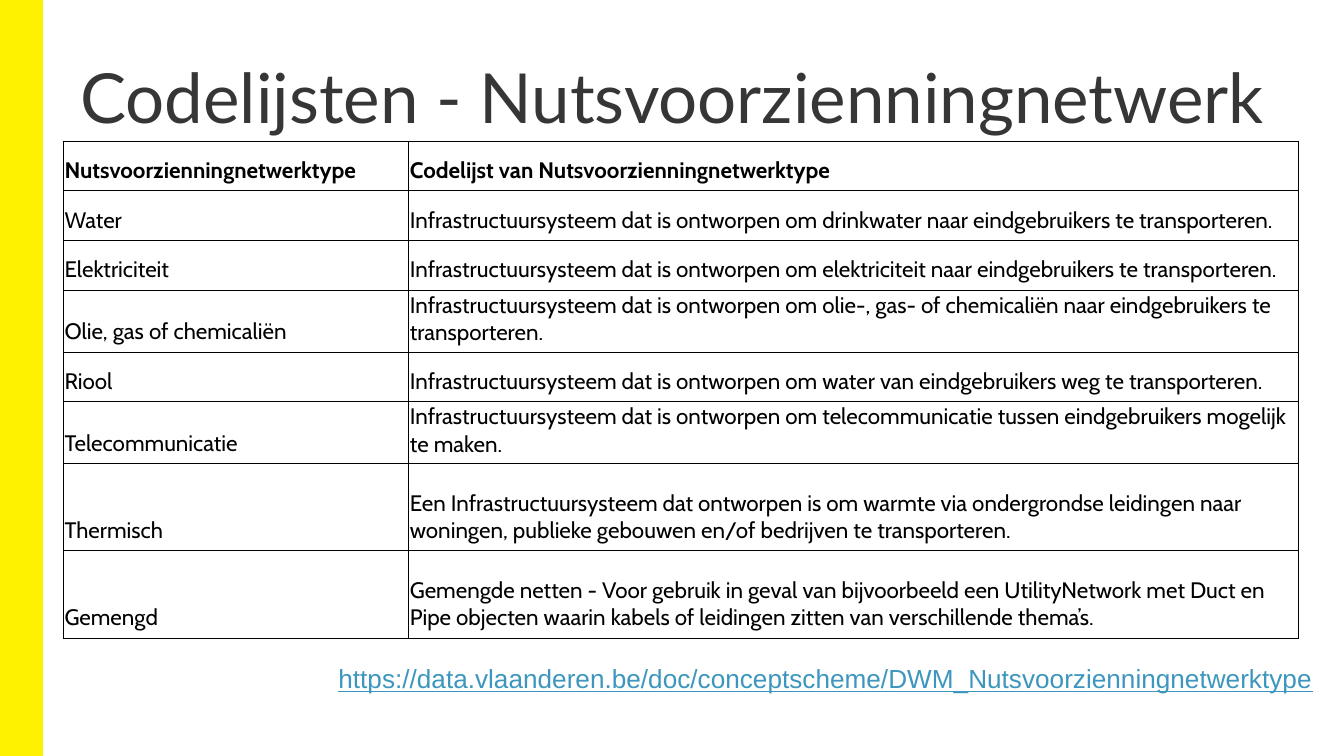
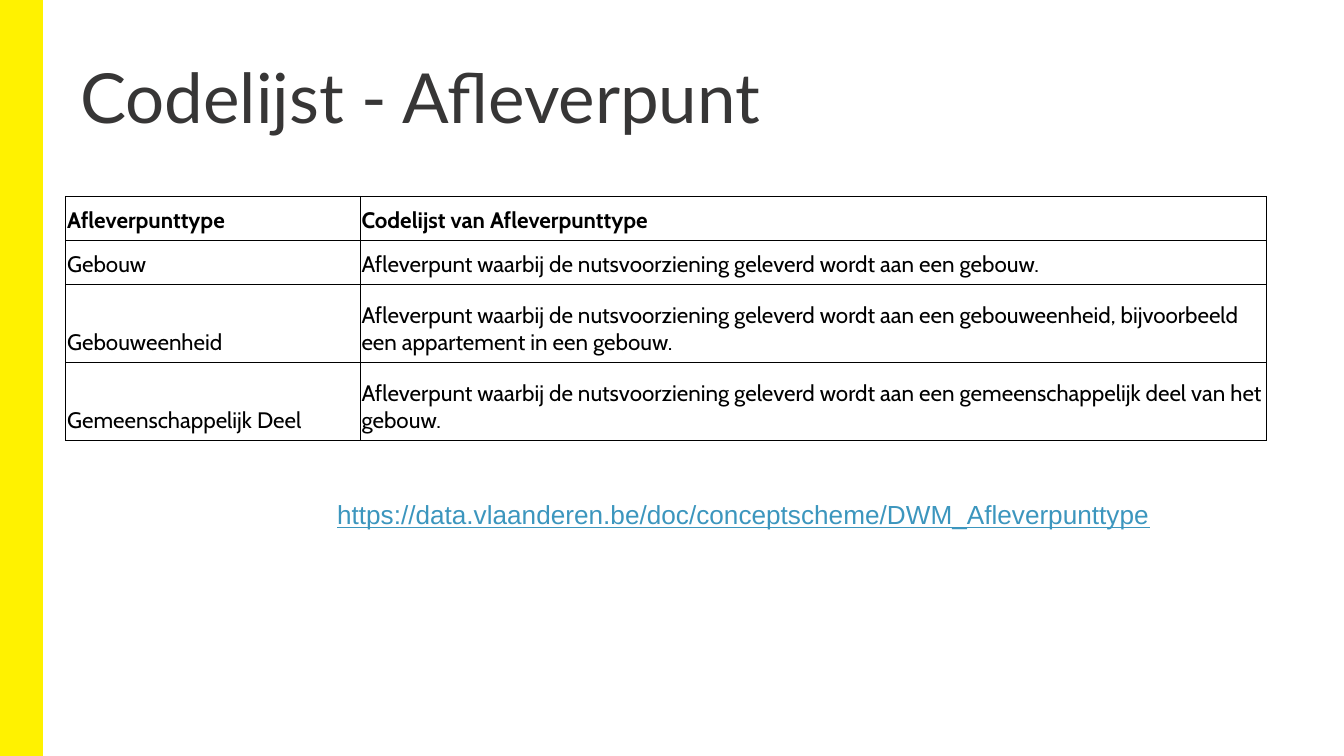
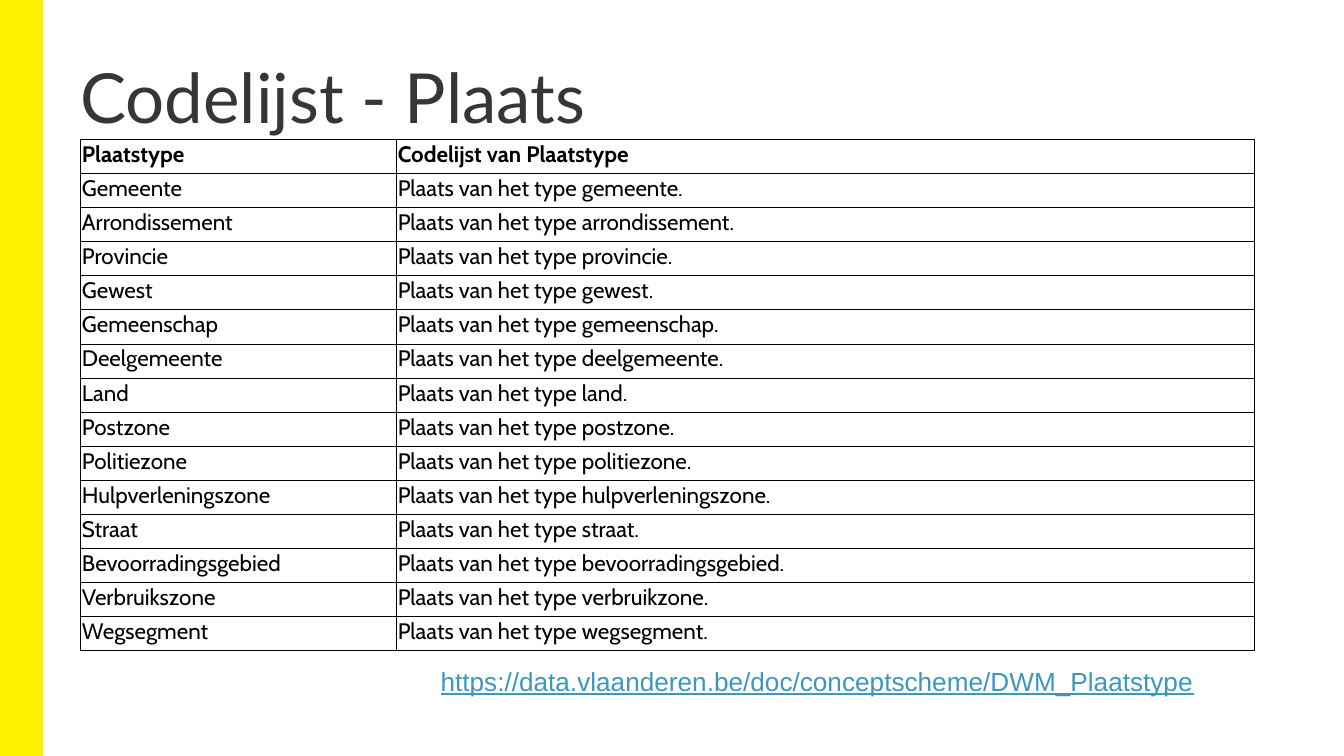
from lxml import etree
from pptx import Presentation
from pptx.dml.color import RGBColor
from pptx.enum.shapes import MSO_SHAPE
from pptx.enum.text import MSO_ANCHOR, MSO_AUTO_SIZE
from pptx.oxml.ns import qn
from pptx.util import Inches, Pt

RECT = MSO_SHAPE.RECTANGLE
BOTTOM = MSO_ANCHOR.BOTTOM
GROW = MSO_AUTO_SIZE.SHAPE_TO_FIT_TEXT

# Shared look
YELLOW, DARK, BLACK, BLUE = "FFF200", "373636", "000000", "3C96BE"
BASE = "https://data.vlaanderen.be/doc/conceptscheme/DWM_"


def style(para, font, size, color, bold=False, line=False):
    for run in para.runs:
        run.font.name = font
        run.font.size = Pt(size)
        run.font.bold = bold
        run.font.underline = line
        run.font.color.rgb = RGBColor.from_string(color)


def border(cell):
    props = cell._tc.get_or_add_tcPr()
    for side in ("lnL", "lnR", "lnT", "lnB"):
        edge = etree.SubElement(props, qn("a:" + side), w=str(Pt(0.5)))
        fill = etree.SubElement(edge, qn("a:solidFill"))
        etree.SubElement(fill, qn("a:srgbClr"), val=BLACK)


# Code lists: name and meaning
SYSTEM = "Infrastructuursysteem dat is ontworpen om "
nets = [
    ("Water", SYSTEM + "drinkwater naar eindgebruikers te transporteren."),
    ("Elektriciteit", SYSTEM + "elektriciteit naar eindgebruikers te transporteren."),
    ("Olie, gas of chemicaliën",
     SYSTEM + "olie-, gas- of chemicaliën naar eindgebruikers te transporteren."),
    ("Riool", SYSTEM + "water van eindgebruikers weg te transporteren."),
    ("Telecommunicatie",
     SYSTEM + "telecommunicatie tussen eindgebruikers mogelijk te maken."),
    ("Thermisch",
     "Een Infrastructuursysteem dat ontworpen is om warmte via ondergrondse leidingen "
     "naar woningen, publieke gebouwen en/of bedrijven te transporteren."),
    ("Gemengd",
     "Gemengde netten - Voor gebruik in geval van bijvoorbeeld een UtilityNetwork met "
     "Duct en Pipe objecten waarin kabels of leidingen zitten van verschillende thema’s."),
]

POINT = "Afleverpunt waarbij de nutsvoorziening geleverd wordt aan een "
points = [
    ("Gebouw", POINT + "gebouw."),
    ("Gebouweenheid",
     POINT + "gebouweenheid, bijvoorbeeld een appartement in een gebouw."),
    ("Gemeenschappelijk Deel", POINT + "gemeenschappelijk deel van het gebouw."),
]

kinds = ["Gemeente", "Arrondissement", "Provincie", "Gewest", "Gemeenschap",
         "Deelgemeente", "Land", "Postzone", "Politiezone", "Hulpverleningszone",
         "Straat", "Bevoorradingsgebied", "Verbruikszone", "Wegsegment"]
terms = {"Verbruikszone": "verbruikzone"}
places = [(kind, f"Plaats van het type {terms.get(kind, kind.lower())}.")
          for kind in kinds]

# Slides: title, title width, type, rows, table left and top,
# column widths, row heights, bottom inset, link left, top and width
slides = [
    ("Codelijsten - Nutsvoorzienningnetwerk", 9.5, "Nutsvoorzienningnetwerktype", nets,
     (0.47, 1.05), (2.57, 6.62), (0.37, 0.37, 0.37, 0.46, 0.37, 0.46, 0.65, 0.65),
     0.05, (2.42, 4.88, 7.96)),
    ("Codelijst - Afleverpunt", 8.11, "Afleverpunttype", points,
     (0.49, 1.46), (2.19, 6.74), (0.33, 0.33, 0.58, 0.58),
     0.05, (2.41, 3.66, 7.8)),
    ("Codelijst - Plaats", 8.11, "Plaatstype", places,
     (0.6, 1.04), (2.35, 6.38), (3.8 / 15,) * 15,
     0.04, (3.18, 4.9, 6.65)),
]

# Wide 16:9 page
deck = Presentation()
deck.slide_width = Inches(10)
deck.slide_height = Inches(10) * 9 // 16

for title, width, name, items, spot, cols, highs, foot, link in slides:
    slide = deck.slides.add_slide(deck.slide_layouts[6])
    shapes = slide.shapes

    # Yellow band
    band = shapes.add_shape(RECT, 0, 0, Inches(0.31), deck.slide_height)
    band.shadow.inherit = False
    band.fill.solid()
    band.fill.fore_color.rgb = RGBColor.from_string(YELLOW)
    band.line.color.rgb = RGBColor.from_string(YELLOW)
    band.line.width = Pt(1)

    # Title
    box = shapes.add_textbox(Inches(0.5), Inches(0.29), Inches(width), Inches(0.92))
    frame = box.text_frame
    frame.word_wrap = True
    frame.margin_top = frame.margin_bottom = Inches(0.1)
    frame.text = title
    frame.paragraphs[0].line_spacing = 1.03
    style(frame.paragraphs[0], "Lato", 37, DARK)

    # Table
    rows = [(name, "Codelijst van " + name)] + items
    left, top = spot
    table = shapes.add_table(len(rows), len(cols), Inches(left), Inches(top),
                             Inches(sum(cols)), Inches(sum(highs))).table
    table.first_row = table.horz_banding = False
    for col, size in zip(table.columns, cols):
        col.width = Inches(size)
    for r, (row, high) in enumerate(zip(rows, highs)):
        table.rows[r].height = Inches(high)
        for c, text in enumerate(row):
            cell = table.cell(r, c)
            border(cell)
            cell.fill.background()
            cell.vertical_anchor = BOTTOM
            cell.margin_left = cell.margin_right = cell.margin_top = Inches(0.01)
            cell.margin_bottom = Inches(foot)
            cell.text_frame.text = text
            style(cell.text_frame.paragraphs[0], "Cabin", 12, BLACK, bold=r == 0)

    # Web address
    left, top, width = link
    box = shapes.add_textbox(Inches(left), Inches(top), Inches(width), Inches(0.57))
    frame = box.text_frame
    frame.word_wrap = True
    frame.auto_size = GROW
    frame.text = BASE + name
    style(frame.paragraphs[0], "Arial", 14, BLUE, line=True)

deck.save("out.pptx")
